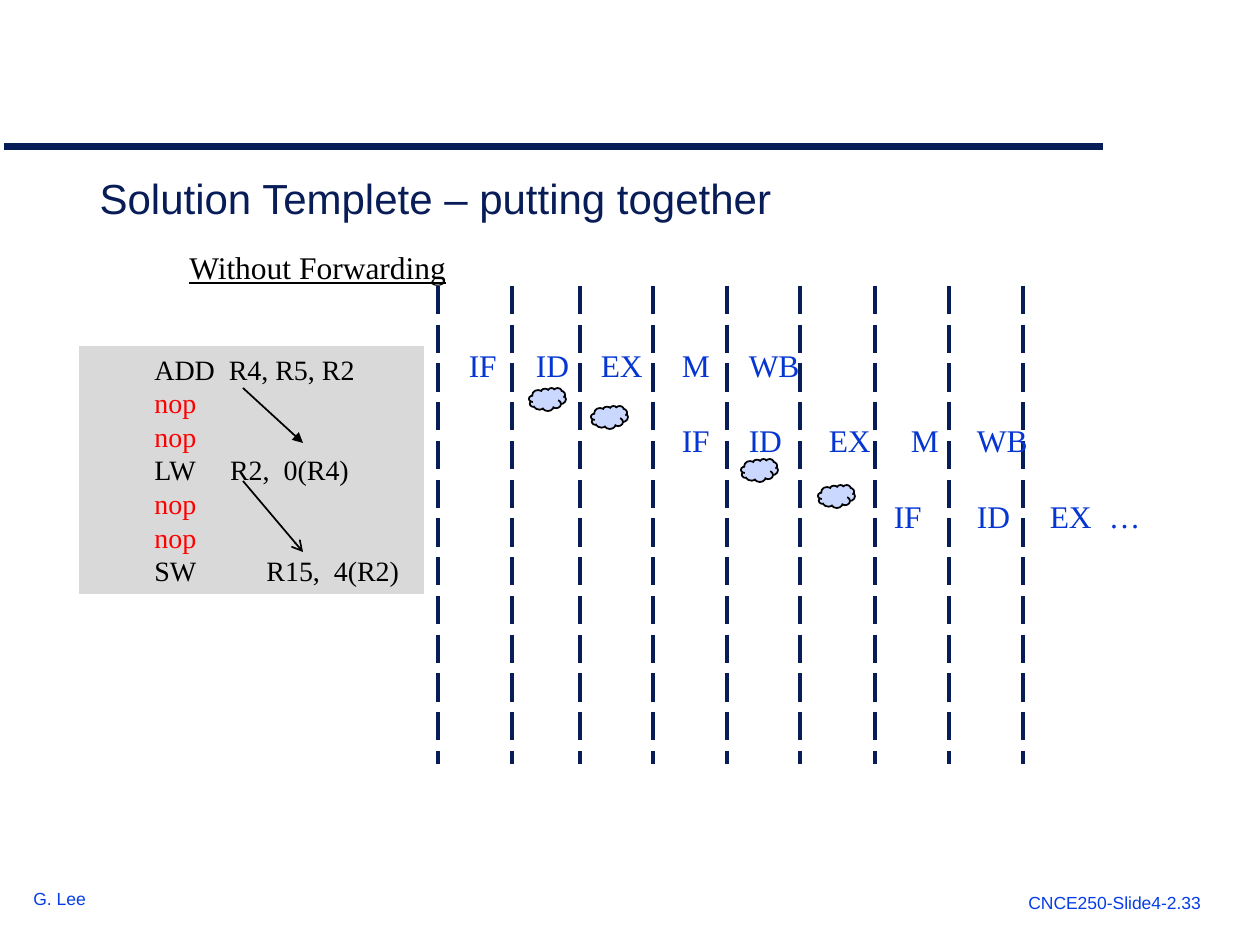
from collections import namedtuple
from dataclasses import dataclass

from lxml.etree import SubElement
from pptx import Presentation
from pptx.dml.color import RGBColor
from pptx.enum.dml import MSO_LINE
from pptx.enum.shapes import MSO_CONNECTOR, MSO_SHAPE
from pptx.enum.text import MSO_ANCHOR, PP_ALIGN
from pptx.oxml.ns import qn
from pptx.util import Emu, Pt

Box = namedtuple("Box", "left top width height")


@dataclass(frozen=True)
class Theme:
    """Colours, fonts and type sizes of the slide."""
    navy: str = "081D58"
    footer: str = "063DE8"
    stage: str = "0536D2"
    black: str = "000000"
    stall: str = "FF0000"
    panel: str = "D9D9D9"
    bubble: str = "CAD7FE"
    sans: str = "Arial"
    serif: str = "Times New Roman"
    title_size: int = 24
    body_size: int = 18
    code_size: int = 16
    footer_size: int = 10
    leading: float = 1.2


THEME = Theme()
CODE = (
    "ADD  R4, R5, R2", "nop", "nop",
    "LW     R2,  0(R4)", "nop", "nop",
    "SW   \tR15,  4(R2)",
)
PIPELINE = (
    (("IF", 0), ("ID", 67), ("EX", 132), ("M", 213), ("WB", 280)),
    (("IF", 213), ("ID", 280), ("EX", 360), ("M", 442), ("WB", 508)),
    (("IF", 425), ("ID", 508), ("EX", 581), ("…", 640)),
)
CLOCK_EDGES = (0, 74, 142, 215, 289, 362, 437, 511, 585)
BUBBLES = ((91, 102), (153, 120), (303, 173), (380, 199))
DEPENDENCES = (((164, 42), (224, 97), "triangle"), ((164, 135), (224, 206), "arrow"))


def px(value):
    """Turn pixels at 126 to the inch into EMU."""
    return Emu(round(value * 914400 / 126))


def place(shape, box):
    """Move and size a shape to a box."""
    for name, value in box._asdict().items():
        setattr(shape, name, px(value))


def write(paragraph, text, size, font_name, color, **formats):
    """Add one formatted run to a paragraph."""
    run = paragraph.add_run()
    run.text = text
    for name, value in {"size": Pt(size), "name": font_name, **formats}.items():
        setattr(run.font, name, value)
    run.font.color.rgb = RGBColor.from_string(color)


def set_tabs(paragraph, stops):
    """Give a paragraph left tab stops."""
    tab_list = SubElement(paragraph._p.get_or_add_pPr(), qn("a:tabLst"))
    for stop in stops:
        SubElement(tab_list, qn("a:tab"), pos=str(px(stop)), algn="l")


def paragraphs_of(frame, count):
    """Return the given number of paragraphs in a text frame."""
    return [frame.paragraphs[0]] + [frame.add_paragraph() for _ in range(count - 1)]


def add_text(slide, box):
    """Add a wrapping text box and return its frame."""
    frame = slide.shapes.add_textbox(*map(px, box)).text_frame
    frame.word_wrap = True
    return frame


def add_line(slide, start, end, color, width, dash=None, tail=None):
    """Add a straight line with an optional dash and arrowhead."""
    line = slide.shapes.add_connector(MSO_CONNECTOR.STRAIGHT, *map(px, start + end))
    line.line.color.rgb = RGBColor.from_string(color)
    line.line.width = Pt(width)
    if dash:
        line.line.dash_style = dash
    if tail:
        SubElement(line.line._get_or_add_ln(), qn("a:tailEnd"), type=tail)
    SubElement(line._element.spPr, qn("a:effectLst"))


def add_solid(slide, kind, box, fill):
    """Add a filled preset shape without shadow or outline."""
    shape = slide.shapes.add_shape(kind, *map(px, box))
    shape.shadow.inherit = False
    shape.fill.solid()
    shape.fill.fore_color.rgb = RGBColor.from_string(fill)
    shape.line.fill.background()
    return shape


def add_title(slide, box):
    """Fill the title placeholder."""
    title = slide.shapes.title
    place(title, box)
    title.text_frame.vertical_anchor = MSO_ANCHOR.BOTTOM
    paragraph = title.text_frame.paragraphs[0]
    paragraph.alignment = PP_ALIGN.LEFT
    write(paragraph, "Solution Templete – putting together",
          THEME.title_size, THEME.sans, THEME.navy)


def add_footer(slide, box, text):
    """Add a footer label."""
    write(add_text(slide, box).paragraphs[0], text,
          THEME.footer_size, THEME.sans, THEME.footer)


def add_heading(slide, box):
    """Add the underlined heading over the code."""
    write(add_text(slide, box).paragraphs[0], "Without Forwarding",
          THEME.body_size, THEME.serif, THEME.black, underline=True)


def add_clock_edges(slide, box):
    """Draw the dashed clock cycle boundaries."""
    for offset in CLOCK_EDGES:
        x = box.left + offset
        add_line(slide, (x, box.top), (x, box.top + box.height),
                 THEME.navy, 2, dash=MSO_LINE.LONG_DASH)


def add_pipeline(slide, box):
    """Write the stages of each instruction and the stall bubbles."""
    frame = add_text(slide, box._replace(left=box.left - 12.6, top=box.top - 6.3))
    leading = Pt(THEME.body_size * THEME.leading)
    for index, (paragraph, stages) in enumerate(
            zip(paragraphs_of(frame, len(PIPELINE)), PIPELINE)):
        paragraph.line_spacing = leading
        if index:
            paragraph.space_before = leading
        set_tabs(paragraph, [stop for _, stop in stages if stop])
        text = "".join(("\t" if stop else "") + name for name, stop in stages)
        write(paragraph, text, THEME.body_size, THEME.serif, THEME.stage)
    for left, top in BUBBLES:
        cloud = add_solid(slide, MSO_SHAPE.CLOUD,
                          Box(box.left + left - 31, box.top + top - 60, 37, 23),
                          THEME.bubble)
        cloud.line.color.rgb = RGBColor.from_string(THEME.black)
        cloud.line.width = Pt(1)


def add_code(slide, box):
    """Add the code panel with its dependence arrows."""
    frame = add_solid(slide, MSO_SHAPE.RECTANGLE, box, THEME.panel).text_frame
    frame.word_wrap = True
    frame.vertical_anchor = MSO_ANCHOR.TOP
    for paragraph, line in zip(paragraphs_of(frame, len(CODE)), CODE):
        paragraph.alignment = PP_ALIGN.LEFT
        paragraph.line_spacing = Pt(THEME.code_size * THEME.leading)
        paragraph._p.get_or_add_pPr().set("marL", str(px(63)))
        set_tabs(paragraph, [112])
        color = THEME.stall if line == "nop" else THEME.black
        write(paragraph, line, THEME.code_size, THEME.serif, color)
    for start, end, tail in DEPENDENCES:
        points = [(box.left + x, box.top + y) for x, y in (start, end)]
        add_line(slide, *points, THEME.black, 1, tail=tail)


def main():
    """Build and save the slide."""
    presentation = Presentation()
    presentation.slide_width, presentation.slide_height = px(1260), px(945)
    slide = presentation.slides.add_slide(presentation.slide_layouts[5])
    add_line(slide, (4, 147), (1103, 147), THEME.navy, 4)
    add_footer(slide, Box(21, 882, 85, 33), "G. Lee")
    add_footer(slide, Box(1016, 886, 240, 33), "CNCE250-Slide4-2.33")
    add_title(slide, Box(87, 156, 1087, 73))
    add_clock_edges(slide, Box(438, 286, 585, 478))
    add_pipeline(slide, Box(469, 346, 710, 239))
    add_code(slide, Box(79, 346, 345, 248))
    add_heading(slide, Box(177, 242, 290, 50))
    presentation.save("out.pptx")


if __name__ == "__main__":
    main()
